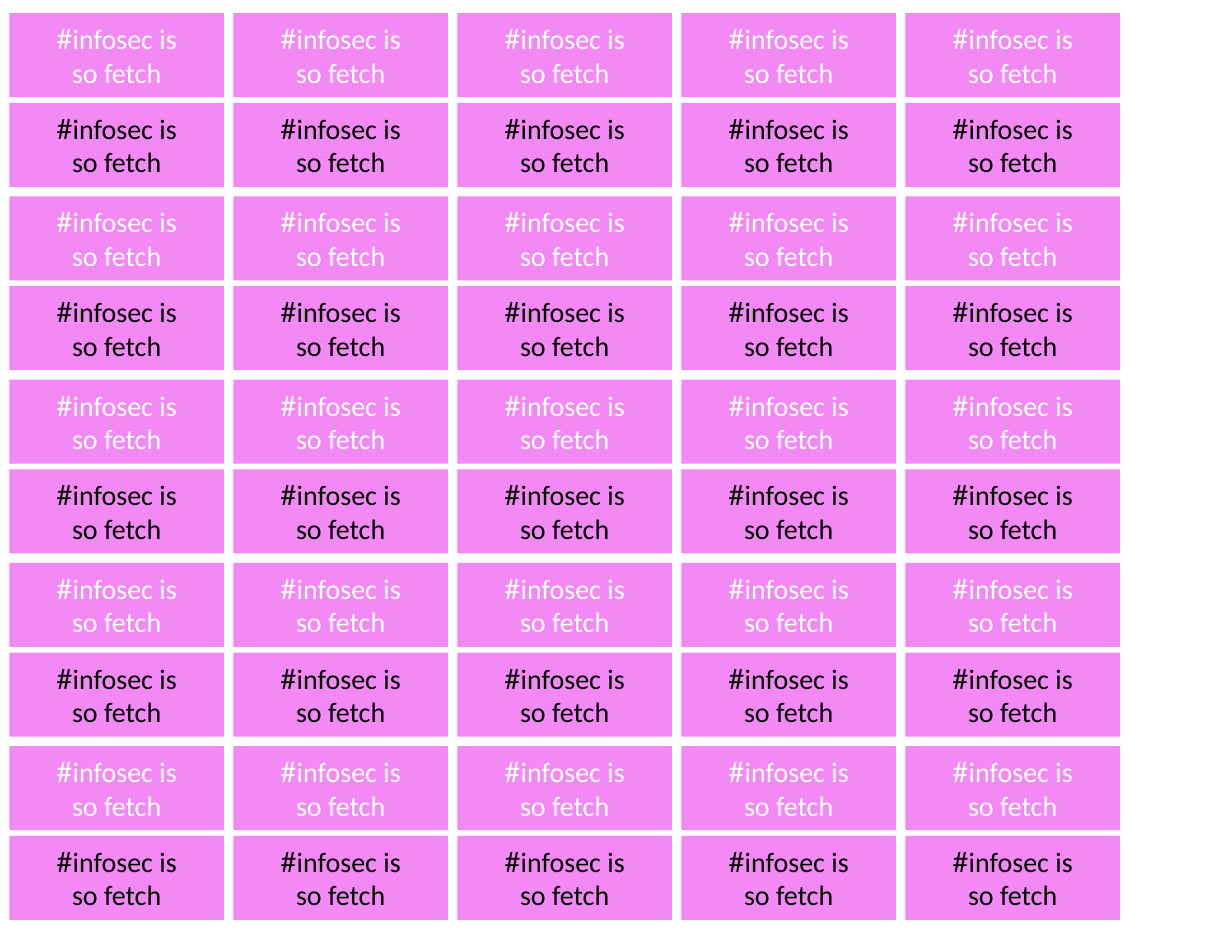
from pptx import Presentation
from pptx.dml.color import RGBColor
from pptx.enum.shapes import MSO_SHAPE
from pptx.enum.text import MSO_ANCHOR, PP_ALIGN
from pptx.util import Pt

PINK, WHITE, BLACK = "F389F4", "FFFFFF", "000000"
LINES = [
    [("#", "Lato"), ("infosec is", "Calibri")],
    [("so fetch", "Calibri")],
]


def paint(color, code):
    color.rgb = RGBColor.from_string(code)


def add_label(slide, left, top, width, height, ink):
    # Pink card
    card = slide.shapes.add_shape(
        MSO_SHAPE.RECTANGLE, Pt(left), Pt(top), Pt(width), Pt(height))
    card.shadow.inherit = False
    card.fill.solid()
    paint(card.fill.fore_color, PINK)
    card.line.fill.background()

    # Centred slogan
    frame = card.text_frame
    frame.word_wrap = True
    frame.vertical_anchor = MSO_ANCHOR.MIDDLE
    for i, line in enumerate(LINES):
        para = frame.add_paragraph() if i else frame.paragraphs[0]
        para.alignment = PP_ALIGN.CENTER
        for text, face in line:
            run = para.add_run()
            run.text = text
            run.font.name = face
            run.font.size = Pt(18)
            paint(run.font.color, ink)


def add_sheet(slide, left, top, width, height, cols=5, pairs=5):
    gap, inner = 6, 3.7
    high = 54
    wide = (width - (cols - 1) * gap) / cols
    pair = 2 * high + inner
    step = (height - pair) / (pairs - 1)
    for col in range(cols):
        x = left + col * (wide + gap)
        for row in range(pairs):
            y = top + row * step
            # White label above its black twin
            add_label(slide, x, y, wide, high, WHITE)
            add_label(slide, x, y + high + inner, wide, high, BLACK)


def main():
    deck = Presentation()
    deck.slide_width, deck.slide_height = Pt(792), Pt(612)
    slide = deck.slides.add_slide(deck.slide_layouts[6])
    add_sheet(slide, 6, 8.4, 714, 583)
    deck.save("out.pptx")


if __name__ == "__main__":
    main()
